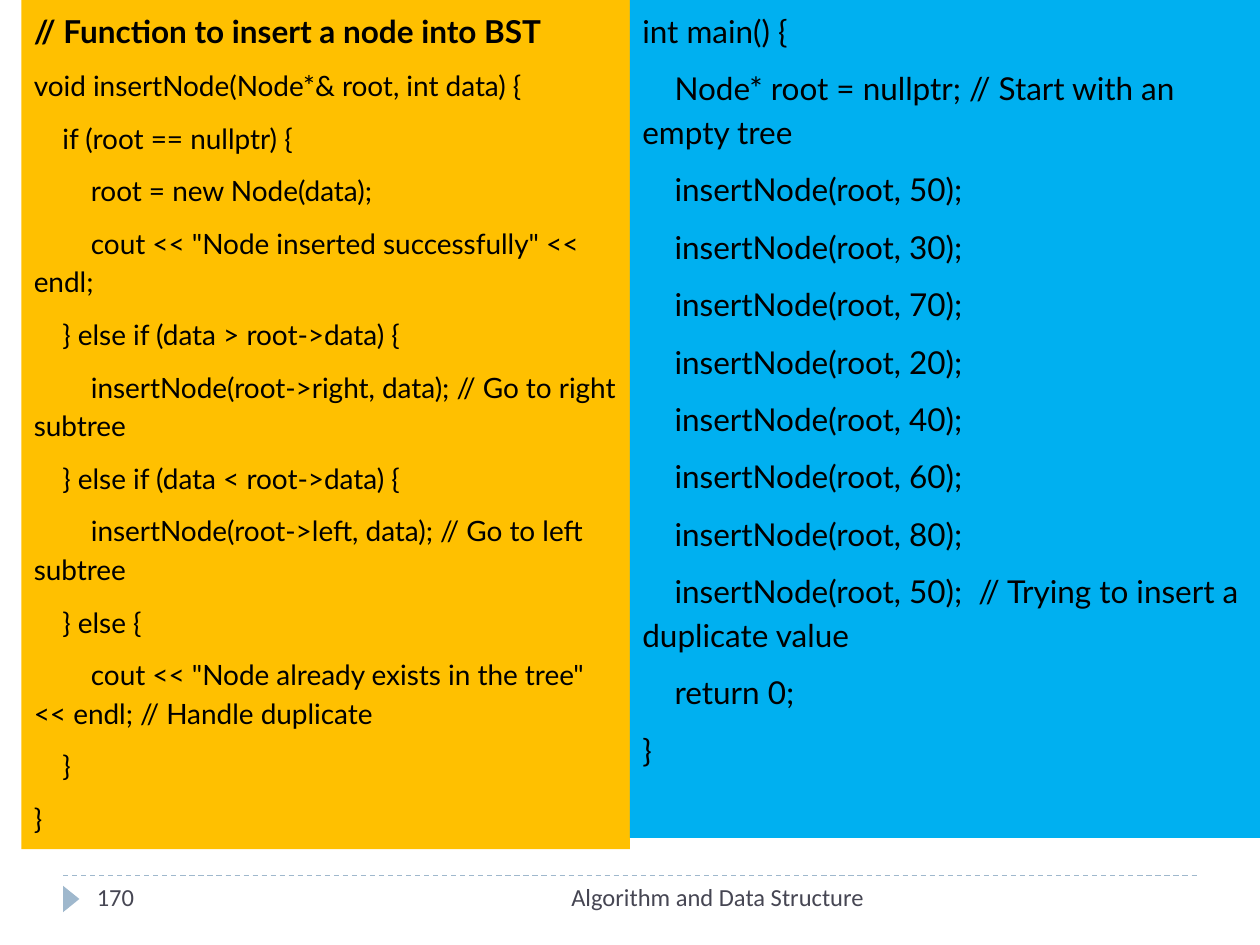
"""Build a slide showing binary search tree insertion code in two panels."""
from lxml import etree
from pptx import Presentation
from pptx.dml.color import RGBColor
from pptx.enum.dml import MSO_LINE
from pptx.enum.shapes import MSO_CONNECTOR, MSO_SHAPE
from pptx.enum.text import MSO_ANCHOR, PP_ALIGN
from pptx.oxml.ns import qn
from pptx.util import Inches, Pt

STRAIGHT = MSO_CONNECTOR.STRAIGHT
RECTANGLE, TRIANGLE = MSO_SHAPE.RECTANGLE, MSO_SHAPE.ISOSCELES_TRIANGLE
LEFT, RIGHT, TOP = PP_ALIGN.LEFT, PP_ALIGN.RIGHT, MSO_ANCHOR.TOP
DASH = MSO_LINE.DASH
ACCENT, FOOTER_COLOR, BLACK = "9FB8CD", "464653", "000000"

INSERT_TITLE = "// Function to insert a node into BST"
INSERT_CODE = [
    "void insertNode(Node*& root, int data) {",
    "    if (root == nullptr) {",
    "        root = new Node(data);",
    '        cout << "Node inserted successfully" << endl;',
    "    } else if (data > root->data) {",
    "        insertNode(root->right, data); // Go to right subtree",
    "    } else if (data < root->data) {",
    "        insertNode(root->left, data); // Go to left subtree",
    "    } else {",
    '        cout << "Node already exists in the tree" << endl; // Handle duplicate',
    "    }",
    "}",
]
MAIN_CODE = [
    "int main() {",
    "    Node* root = nullptr; // Start with an empty tree",
    "    insertNode(root, 50);",
    "    insertNode(root, 30);",
    "    insertNode(root, 70);",
    "    insertNode(root, 20);",
    "    insertNode(root, 40);",
    "    insertNode(root, 60);",
    "    insertNode(root, 80);",
    "    insertNode(root, 50);  // Trying to insert a duplicate value",
    "    return 0;",
    "}",
]
PANELS = [
    ((0.17, 0, 4.83, 6.74), "FFC000",
     [(INSERT_TITLE, 18, True)] + [(line, 16, False) for line in INSERT_CODE]),
    ((5, 0, 5, 6.65), "00B0F0", [(line, 18, False) for line in MAIN_CODE]),
]
FOOTERS = [
    ((3.17, 6.95, 3.83, 0.4), "Algorithm and Data Structure ", RIGHT),
    ((0.67, 6.95, 2.17, 0.4), "170", LEFT),
]


def color(value):
    return RGBColor.from_string(value)


def add_span(para, text, font, size, value, bold=False):
    span = para.add_run()
    span.text = text
    span.font.name = font
    span.font.size = Pt(size)
    span.font.bold = bold
    span.font.color.rgb = color(value)


def add_filled(page, kind, place, fill):
    shape = page.shapes.add_shape(kind, *map(Inches, place))
    shape.shadow.inherit = False
    shape.fill.solid()
    shape.fill.fore_color.rgb = color(fill)
    shape.line.fill.background()
    return shape


def add_panel(page, place, fill, lines):
    frame = add_filled(page, RECTANGLE, place, fill).text_frame
    frame.word_wrap = True
    frame.vertical_anchor = TOP
    for index, (text, size, bold) in enumerate(lines):
        para = frame.add_paragraph() if index else frame.paragraphs[0]
        para.alignment = LEFT
        para.line_spacing = 1.15
        para.space_after = Pt(8)
        add_span(para, text, "Lato", size, BLACK, bold)


def add_footer(page, place, text, alignment):
    frame = page.shapes.add_textbox(*map(Inches, place)).text_frame
    frame.word_wrap = True
    frame.vertical_anchor = TOP
    para = frame.paragraphs[0]
    para.alignment = alignment
    add_span(para, text, "Calibri", 14, FOOTER_COLOR)


def add_divider(page):
    divider = page.shapes.add_connector(
        STRAIGHT, *map(Inches, (0.5, 6.95, 9.5, 6.95)))
    divider.line.color.rgb = color(ACCENT)
    divider.line.width = Pt(0.75)
    divider.line.dash_style = DASH
    etree.SubElement(divider._element.spPr, qn("a:effectLst"))


def main():
    deck = Presentation()
    deck.slide_width, deck.slide_height = Inches(10), Inches(7.5)
    page = deck.slides.add_slide(deck.slide_layouts[6])
    add_divider(page)
    marker = add_filled(page, TRIANGLE, (0.46, 7.07, 0.21, 0.13), ACCENT)
    marker.rotation = 90
    for panel in PANELS:
        add_panel(page, *panel)
    for footer in FOOTERS:
        add_footer(page, *footer)
    deck.save("out.pptx")


if __name__ == "__main__":
    main()
